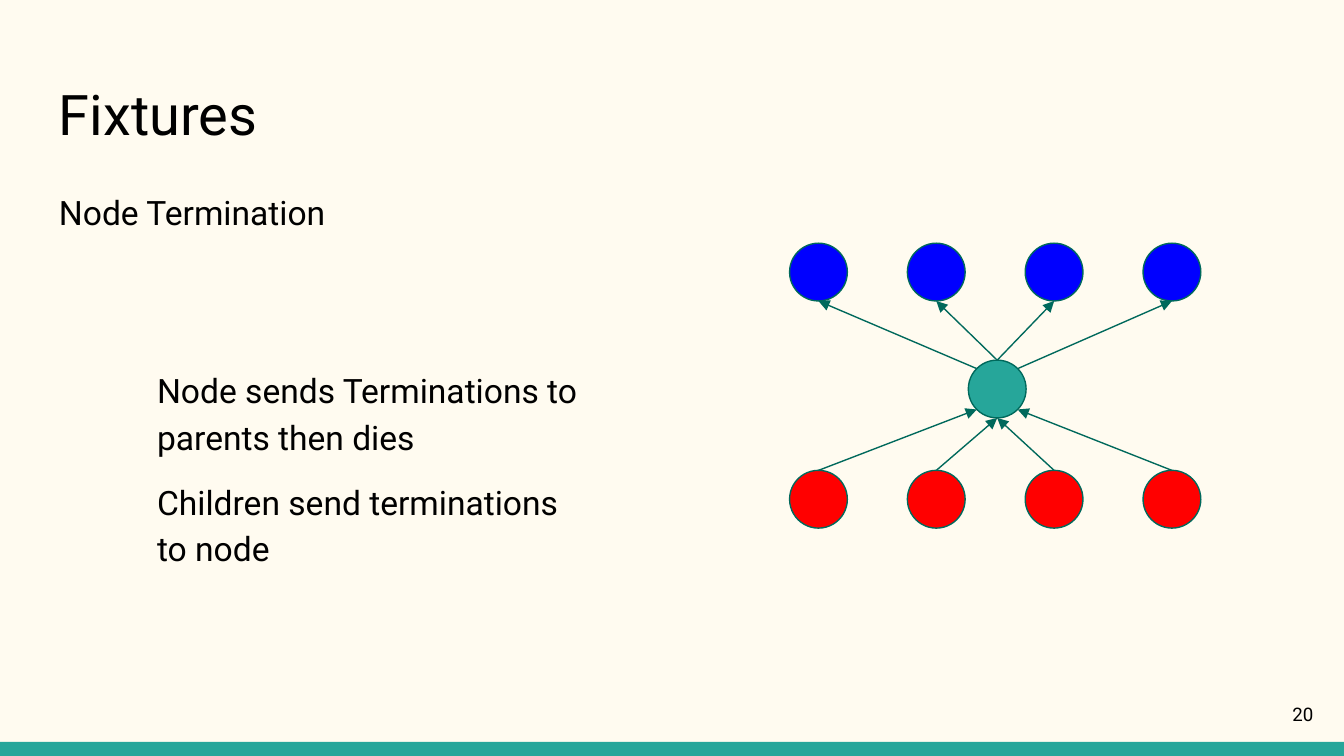
"""Build the Fixtures slide: node termination messages in a small tree."""
import math

import pptx
import pptx.dml.color
import pptx.enum.shapes
import pptx.enum.text
import pptx.oxml
import pptx.oxml.ns
import pptx.util
from pptx.util import Inches

FONT = "Roboto"
TEAL = "26A69A"
OUTLINE = "00695C"
DIAMETER = 0.43
RADIUS = DIAMETER / 2
FIRST_CENTER, LAST_CENTER = 6.09, 8.72
COLUMN_CENTERS = [FIRST_CENTER + (LAST_CENTER - FIRST_CENTER) * column / 3
                  for column in range(4)]
PARENT_TOP, NODE_TOP, CHILD_TOP = 1.81, 2.68, 3.5
NODE_CENTER = 7.42


def color(hex_string):
    """Turn a hex string into a colour."""
    return pptx.dml.color.RGBColor.from_string(hex_string)


def add_text(slide, text, left, top, width, height, size=18, line_spacing=1.15,
             space_after=16, align="LEFT", anchor="TOP"):
    """Add a wrapped text box holding one paragraph."""
    frame = slide.shapes.add_textbox(
        Inches(left), Inches(top), Inches(width), Inches(height)).text_frame
    frame.word_wrap = True
    frame.margin_left = frame.margin_right = Inches(0.1)
    frame.margin_top = frame.margin_bottom = Inches(0.1)
    frame.vertical_anchor = pptx.enum.text.MSO_ANCHOR[anchor]
    paragraph = frame.paragraphs[0]
    paragraph.alignment = pptx.enum.text.PP_ALIGN[align]
    paragraph.line_spacing = line_spacing
    paragraph.space_after = pptx.util.Pt(space_after)
    run = paragraph.add_run()
    run.text = text
    run.font.name = FONT
    run.font.size = pptx.util.Pt(size)
    run.font.color.rgb = color("000000")


def add_filled_shape(slide, kind, left, top, width, height, fill, outline=None):
    """Add a flat preset shape, outlined only when a colour is given."""
    shape = slide.shapes.add_shape(
        pptx.enum.shapes.MSO_SHAPE[kind],
        Inches(left), Inches(top), Inches(width), Inches(height))
    shape.shadow.inherit = False
    shape.fill.solid()
    shape.fill.fore_color.rgb = color(fill)
    if outline:
        shape.line.color.rgb = color(outline)
        shape.line.width = pptx.util.Pt(0.75)
    else:
        shape.line.fill.background()


def add_node(slide, center, top, fill):
    """Add one circle of the tree."""
    add_filled_shape(slide, "OVAL", center - RADIUS, top, DIAMETER, DIAMETER,
                     fill, OUTLINE)


def add_arrow(slide, start, end):
    """Add a straight arrow from start to end."""
    connector = slide.shapes.add_connector(
        pptx.enum.shapes.MSO_CONNECTOR.STRAIGHT,
        *(Inches(value) for value in (*start, *end)))
    connector.line.color.rgb = color(OUTLINE)
    connector.line.width = pptx.util.Pt(0.75)
    head = pptx.oxml.parse_xml(
        f'<a:tailEnd {pptx.oxml.ns.nsdecls("a")} type="triangle"/>')
    connector.line._get_or_add_ln().append(head)
    connector._element.spPr.append(
        pptx.oxml.parse_xml(f'<a:effectLst {pptx.oxml.ns.nsdecls("a")}/>'))


def add_tree(slide):
    """Draw parents, node and children with the messages between them."""
    add_node(slide, NODE_CENTER, NODE_TOP, TEAL)
    diagonal = RADIUS * math.sqrt(0.5)
    middle = NODE_TOP + RADIUS
    for center, side in zip(COLUMN_CENTERS, (-1, 0, 0, 1)):
        add_node(slide, center, CHILD_TOP, "FF0000")
        add_node(slide, center, PARENT_TOP, "0000FF")
        reach = diagonal if side else RADIUS
        joint = NODE_CENTER + side * diagonal
        add_arrow(slide, (center, CHILD_TOP), (joint, middle + reach))
        add_arrow(slide, (joint, middle - reach), (center, PARENT_TOP + DIAMETER))


def main():
    """Build and save the presentation."""
    presentation = pptx.Presentation()
    presentation.slide_width = Inches(10)
    presentation.slide_height = Inches(10 * 9 / 16)
    slide = presentation.slides.add_slide(presentation.slide_layouts[6])
    slide.background.fill.solid()
    slide.background.fill.fore_color.rgb = color("FFFBF0")
    add_filled_shape(slide, "RECTANGLE", 0, 5.52, 10, 0.11, TEAL)
    add_text(slide, "Fixtures", 0.34, 0.49, 9.32, 0.67, size=30,
             line_spacing=1, space_after=0)
    add_text(slide, "Node Termination", 0.34, 1.28, 9.32, 3.72)
    add_text(slide, "20", 9.27, 5.1, 0.6, 0.43, size=10, line_spacing=1,
             space_after=0, align="RIGHT", anchor="MIDDLE")
    add_tree(slide)
    add_text(slide, "Children send terminations to node",
             1.07, 3.44, 3.42, 0.78)
    add_text(slide, "Node sends Terminations to parents then dies",
             1.07, 2.61, 3.42, 0.82)
    presentation.save("out.pptx")


if __name__ == "__main__":
    main()
